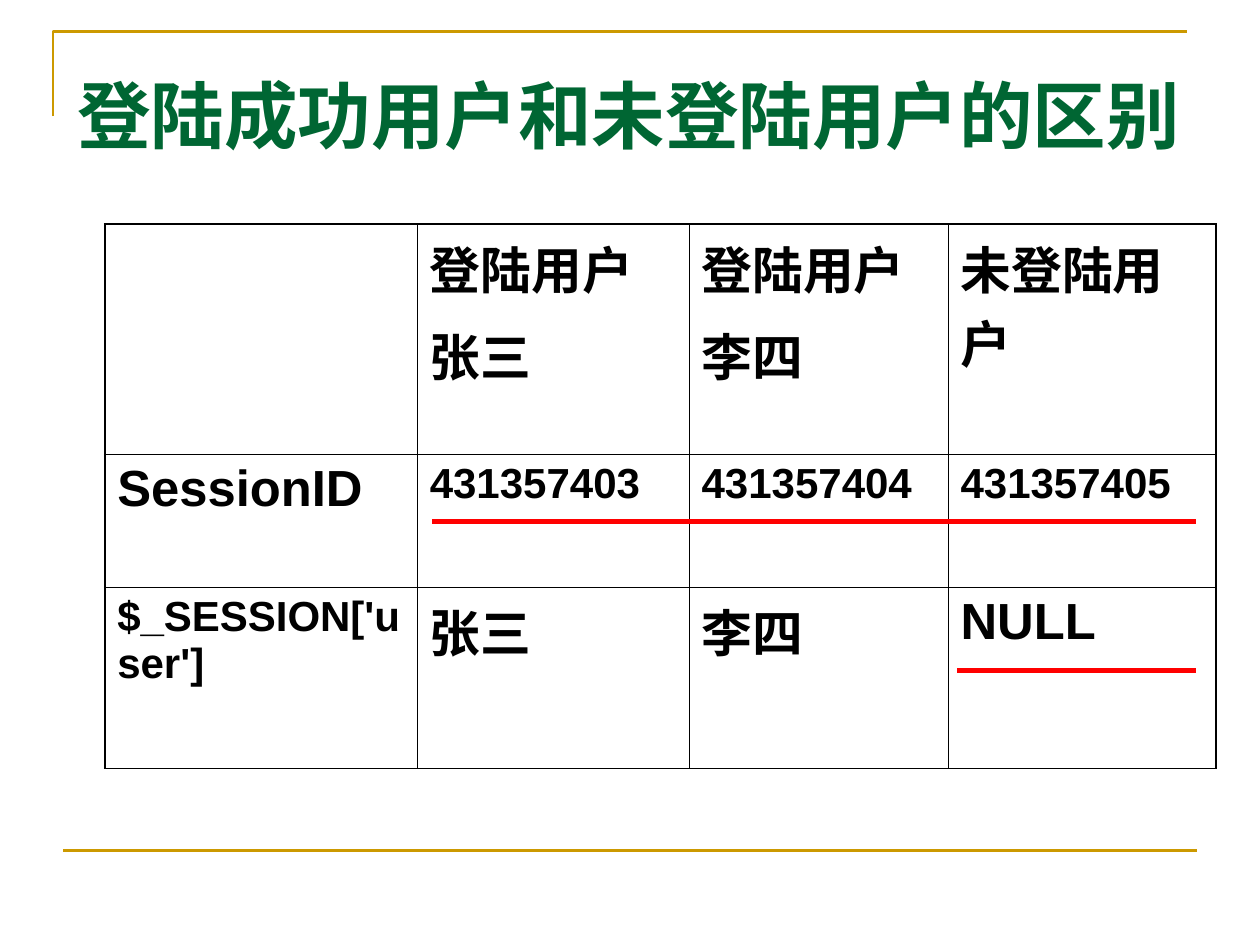
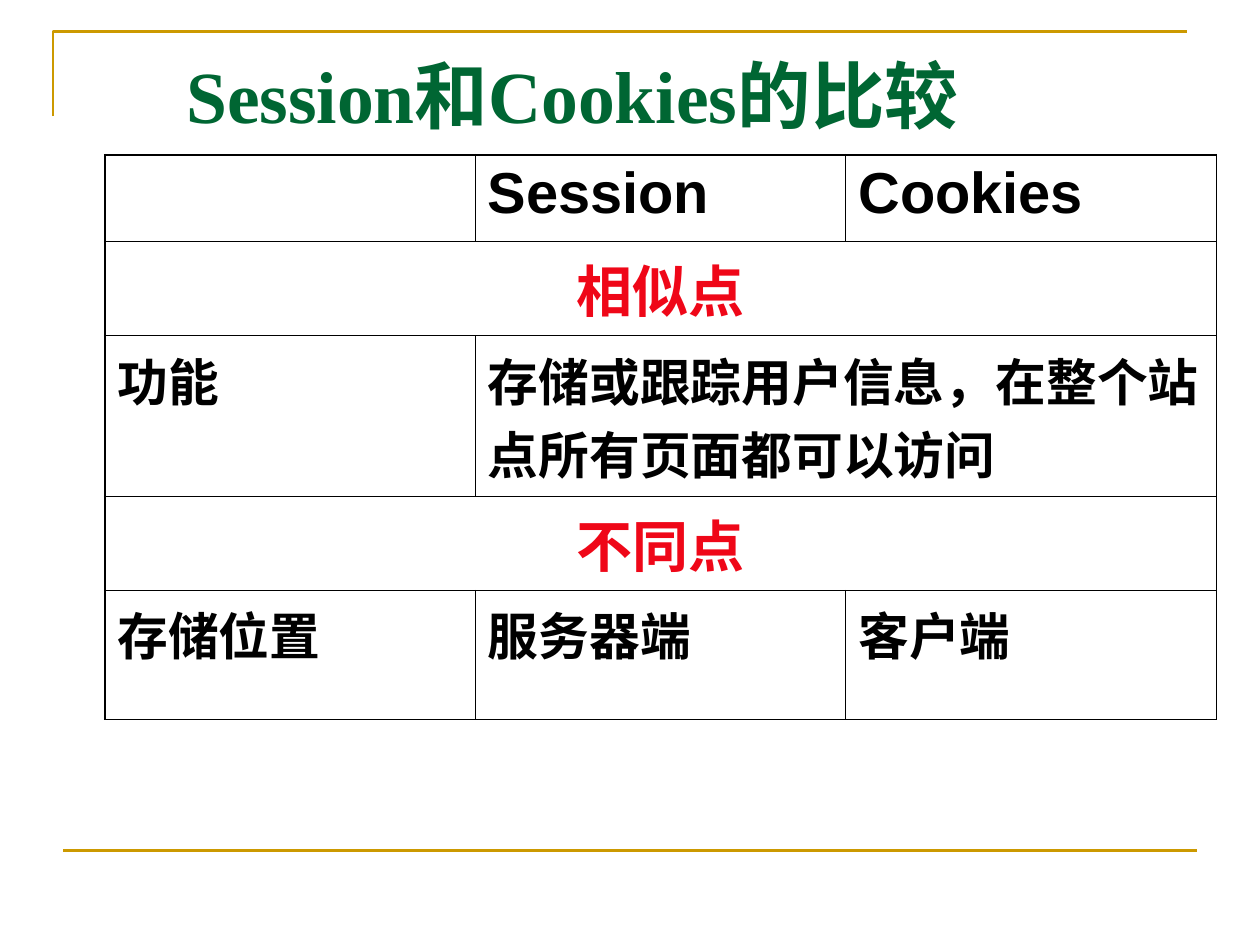
from dataclasses import dataclass

from lxml import etree
from pptx import Presentation
from pptx.dml.color import RGBColor
from pptx.enum.shapes import MSO_CONNECTOR
from pptx.enum.text import MSO_ANCHOR, PP_ALIGN
from pptx.oxml.ns import qn
from pptx.util import Cm, Pt

STRAIGHT = MSO_CONNECTOR.STRAIGHT
LEFT, CENTER = PP_ALIGN.LEFT, PP_ALIGN.CENTER
MIDDLE = MSO_ANCHOR.MIDDLE
TITLE_ONLY = 5


# Theme
@dataclass(frozen=True)
class Theme:
    gold: str = "CC9900"
    green: str = "006633"
    black: str = "000000"
    line_red: str = "FF0000"
    text_red: str = "EF0718"
    title_font: str = "Times New Roman"
    body_font: str = "Arial"
    title: float = 42
    head: float = 33
    section: float = 32
    body: float = 29
    code: float = 24
    frame_line: float = 1.5
    mark_line: float = 3
    outer_border: float = 1.08
    inner_border: float = 0.45
    para_gap: float = 7.3


T = Theme()


@dataclass(frozen=True)
class Entry:
    text: str = ""
    size: float = T.body
    color: str = T.black
    align: PP_ALIGN = LEFT
    span: int = 1


@dataclass(frozen=True)
class Grid:
    top: float
    cols: list[float]
    rows: list[float]
    entries: list[list[Entry]]
    left: float = 2.11


@dataclass(frozen=True)
class Rule:
    x1: float
    x2: float
    y: float
    color: str
    width: float


def style_font(font, name: str, size: float, color: str) -> None:
    font.name, font.size, font.bold = name, Pt(size), True
    font.color.rgb = RGBColor.from_string(color)


# Lines
def draw_rule(s, rule: Rule) -> None:
    line = s.shapes.add_connector(STRAIGHT, Cm(rule.x1), Cm(rule.y), Cm(rule.x2), Cm(rule.y))
    line.line.color.rgb = RGBColor.from_string(rule.color)
    line.line.width = Pt(rule.width)
    etree.SubElement(line._element.spPr, qn("a:effectLst"))


def draw_frame(s) -> None:
    fb = s.shapes.build_freeform(Cm(1.07), Cm(2.34))
    fb.add_line_segments([(Cm(1.07), Cm(0.64)), (Cm(23.93), Cm(0.64))], close=False)
    corner = fb.convert_to_shape()
    corner.shadow.inherit = False
    corner.fill.background()
    corner.line.color.rgb = RGBColor.from_string(T.gold)
    corner.line.width = Pt(T.frame_line)
    draw_rule(s, Rule(1.27, 24.13, 17.15, T.gold, T.frame_line))


# Slide with the shared frame and title style
def new_slide(prs, title: str, left: float, top: float, width: float):
    s = prs.slides.add_slide(prs.slide_layouts[TITLE_ONLY])
    draw_frame(s)
    sp = s.shapes.title
    sp.left, sp.top, sp.width, sp.height = Cm(left), Cm(top), Cm(width), Cm(1.96)
    tf = sp.text_frame
    tf.text = title
    tf.word_wrap = True
    tf.vertical_anchor = MIDDLE
    p = tf.paragraphs[0]
    p.alignment = LEFT
    style_font(p.runs[0].font, T.title_font, T.title, T.green)
    return s


# Tables
def set_borders(cell, outer: dict[str, bool]) -> None:
    tc_pr = cell._tc.get_or_add_tcPr()
    for i, (side, is_outer) in enumerate(outer.items()):
        ln = etree.Element(qn(f"a:ln{side}"))
        ln.set("w", str(Pt(T.outer_border if is_outer else T.inner_border)))
        fill = etree.SubElement(ln, qn("a:solidFill"))
        etree.SubElement(fill, qn("a:srgbClr")).set("val", T.black)
        tc_pr.insert(i, ln)


def fill_cell(cell, entry: Entry) -> None:
    cell.text = entry.text
    for i, p in enumerate(cell.text_frame.paragraphs):
        p.alignment = entry.align
        if i:
            p.space_before = Pt(T.para_gap)
        for r in p.runs:
            style_font(r.font, T.body_font, entry.size, entry.color)


def draw_grid(s, grid: Grid) -> None:
    n_rows, n_cols = len(grid.rows), len(grid.cols)
    table = s.shapes.add_table(n_rows, n_cols, Cm(grid.left), Cm(grid.top),
                               Cm(sum(grid.cols)), Cm(sum(grid.rows))).table
    table.first_row = table.horz_banding = False
    for col, width in zip(table.columns, grid.cols):
        col.width = Cm(width)
    for row, height in zip(table.rows, grid.rows):
        row.height = Cm(height)
    for i in range(n_rows):
        for j in range(n_cols):
            cell = table.cell(i, j)
            cell.fill.background()
            set_borders(cell, {"L": j == 0, "R": j == n_cols - 1,
                               "T": i == 0, "B": i == n_rows - 1})
    for i, entries in enumerate(grid.entries):
        j = 0
        for entry in entries:
            cell = table.cell(i, j)
            if entry.span > 1:
                cell.merge(table.cell(i, j + entry.span - 1))
            fill_cell(cell, entry)
            j += entry.span


# Content
def code(text: str) -> Entry:
    return Entry(text, T.code)


def section(text: str) -> Entry:
    return Entry(text, T.section, T.text_red, CENTER, 3)


USERS = Grid(
    top=4.52,
    cols=[6.3, 5.48, 5.22, 5.4],
    rows=[4.64, 2.68, 3.65],
    entries=[
        [Entry(), Entry("登陆用户\n张三"), Entry("登陆用户\n李四"), Entry("未登陆用户")],
        [Entry("SessionID"), code("431357403"), code("431357404"), code("431357405")],
        [code("$_SESSION['user']"), Entry("张三"), Entry("李四"), Entry("NULL")],
    ],
)

COMPARISON = Grid(
    top=3.12,
    cols=[7.47] * 3,
    rows=[1.75, 1.9, 3.22, 1.9, 2.61],
    entries=[
        [Entry(), Entry("Session", T.head), Entry("Cookies", T.head)],
        [section("相似点")],
        [Entry("功能"), Entry("存储或跟踪用户信息，在整个站点所有页面都可以访问", span=2)],
        [section("不同点")],
        [Entry("存储位置"), Entry("服务器端"), Entry("客户端")],
    ],
)

USER_MARKS = [
    Rule(8.71, 24.1, 10.52, T.line_red, T.mark_line),
    Rule(19.3, 24.1, 13.51, T.line_red, T.mark_line),
]


def main() -> None:
    prs = Presentation()
    prs.slide_width, prs.slide_height = Cm(25.4), Cm(19.05)

    # Logged-in and anonymous users
    s = new_slide(prs, "登陆成功用户和未登陆用户的区别", 1.3, 1.32, 23.19)
    draw_grid(s, USERS)
    for mark in USER_MARKS:
        draw_rule(s, mark)

    # Session against cookies
    s = new_slide(prs, "Session和Cookies的比较", 3.5, 0.91, 19.41)
    draw_grid(s, COMPARISON)

    prs.save("out.pptx")


if __name__ == "__main__":
    main()
